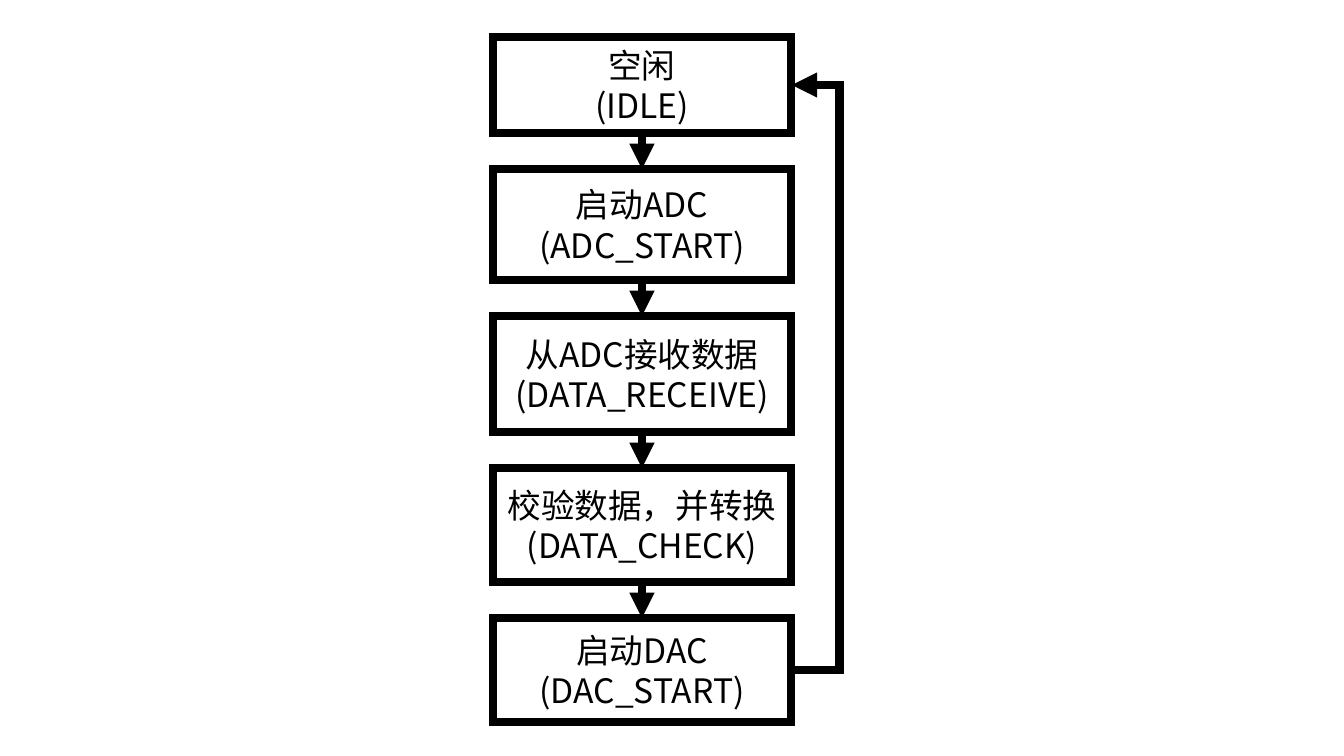
"""Build a slide with the ADC to DAC state flow and its loop back to idle."""
from lxml.etree import SubElement
from pptx import Presentation
from pptx.dml.color import RGBColor
from pptx.enum.shapes import MSO_CONNECTOR as CONN, MSO_SHAPE as SHAPE
from pptx.enum.text import MSO_ANCHOR as ANCHOR, PP_ALIGN as ALIGN
from pptx.oxml.ns import qn
from pptx.util import Pt

PX = 914400 / 100.8
BLACK = RGBColor(0, 0, 0)
FONT = "Noto Sans CJK SC"
LEFT, TOP, WIDTH, GAP = 493, 37, 298, 36
LOOP_OUT = 49
STATES = [
    (96, ["空闲", "(IDLE)"]),
    (111, ["启动ADC (ADC_START)"]),
    (116, ["从ADC接收数据(DATA_RECEIVE)"]),
    (114, ["校验数据，并转换(DATA_CHECK)"]),
    (104, ["启动DAC", "(DAC_START)"]),
]


def px(n):
    return round(n * PX)


def style_line(s, arrow=False):
    s.line.color.rgb = BLACK
    s.line.width = Pt(6)
    ln = s.line._get_or_add_ln()
    SubElement(ln, qn("a:miter"), lim="800000")
    if arrow:
        SubElement(ln, qn("a:tailEnd"), type="triangle")
        SubElement(s._element.spPr, qn("a:effectLst"))


prs = Presentation()
prs.slide_width, prs.slide_height = px(1344), px(756)
slide = prs.slides.add_slide(prs.slide_layouts[6])

boxes = []
y = TOP
for height, lines in STATES:
    sp = slide.shapes.add_shape(SHAPE.RECTANGLE, px(LEFT), px(y), px(WIDTH), px(height))
    sp.shadow.inherit = False
    sp.fill.background()
    style_line(sp)
    tf = sp.text_frame
    tf.word_wrap = True
    tf.vertical_anchor = ANCHOR.MIDDLE
    for i, text in enumerate(lines):
        p = tf.add_paragraph() if i else tf.paragraphs[0]
        p.alignment = ALIGN.CENTER
        r = p.add_run()
        r.text = text
        r.font.size = Pt(24)
        r.font.color.rgb = BLACK
        r.font.name = FONT
        SubElement(r._r.get_or_add_rPr(), qn("a:ea"), typeface=FONT)
    boxes.append(sp)
    y += height + GAP

for upper, lower in zip(boxes, boxes[1:]):
    arrow = slide.shapes.add_connector(CONN.STRAIGHT, 0, 0, 0, 0)
    arrow.begin_connect(upper, 2)
    arrow.end_connect(lower, 0)
    style_line(arrow, arrow=True)

first, last = boxes[0], boxes[-1]
right = LEFT + WIDTH
loop = slide.shapes.add_connector(
    CONN.ELBOW,
    px(right), last.top + last.height // 2,
    px(right + 1), first.top + first.height // 2,
)
style_line(loop, arrow=True)
guides = loop._element.spPr.find(qn("a:prstGeom")).get_or_add_avLst()
SubElement(guides, qn("a:gd"), name="adj1", fmla=f"val {LOOP_OUT * 100000}")

prs.save("out.pptx")
